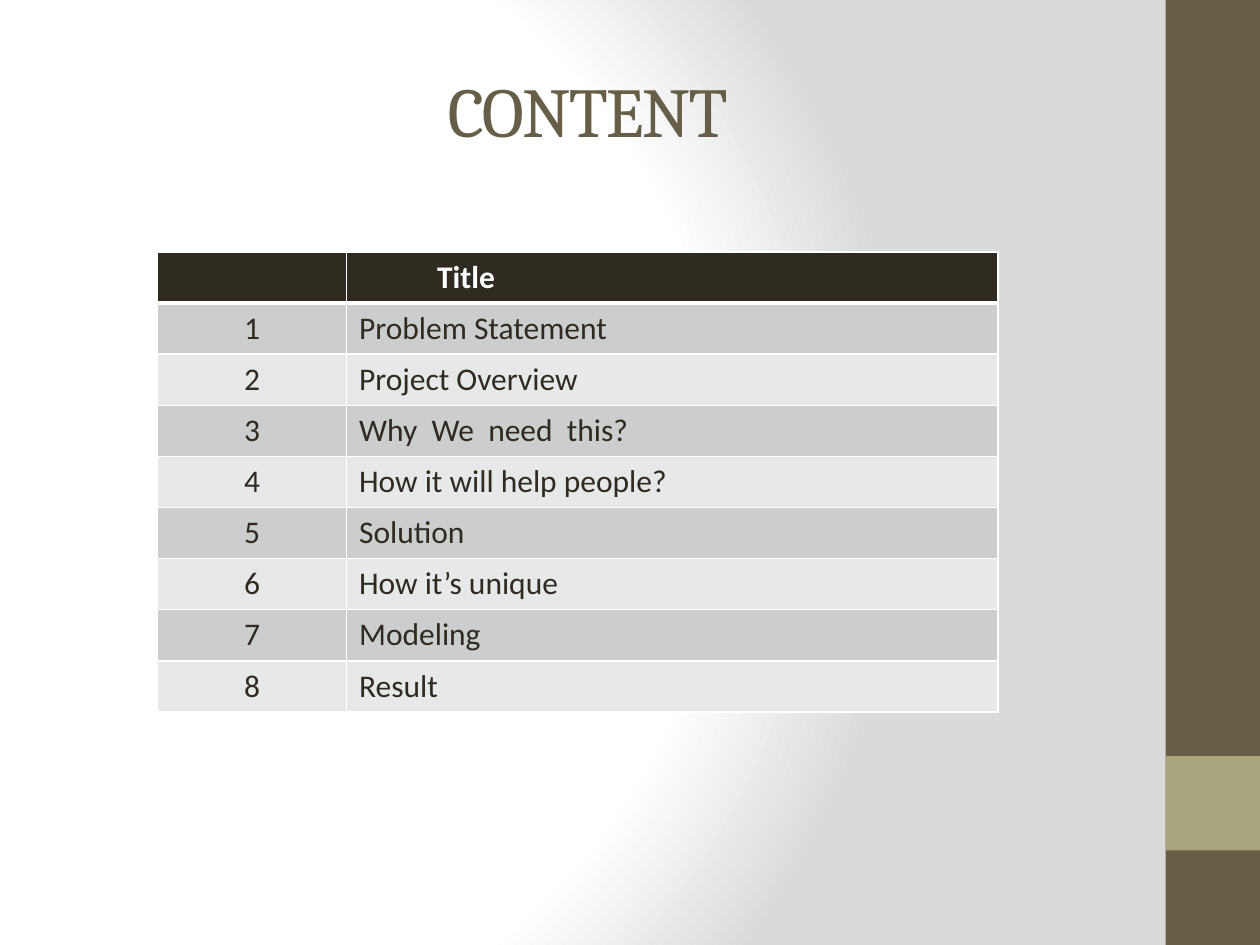
from typing import NamedTuple

from pptx import Presentation
from pptx.dml.color import RGBColor
from pptx.enum.shapes import MSO_SHAPE
from pptx.enum.text import MSO_ANCHOR, MSO_AUTO_SIZE, PP_ALIGN
from pptx.oxml import parse_xml
from pptx.oxml.ns import nsdecls
from pptx.util import Emu, Inches, Pt

RECT = MSO_SHAPE.RECTANGLE
BOTTOM = MSO_ANCHOR.BOTTOM
NO_FIT = MSO_AUTO_SIZE.NONE
CENTER, LEFT = PP_ALIGN.CENTER, PP_ALIGN.LEFT

BROWN, OLIVE, DARK, WHITE = "675E47", "A9A57C", "2F2B20", "FFFFFF"
BANDS = ("CDCDCD", "E8E8E8")
TITLE_ONLY = 5
TOPICS = (
    "Problem Statement",
    "Project Overview",
    "Why  We  need  this?",
    "How it will help people?",
    "Solution",
    "How it’s unique",
    "Modeling",
    "Result",
)


class Block(NamedTuple):
    """A side block, in shares of the slide's height from the top."""
    top: float
    height: float
    color: str


SIDE_BLOCKS = (Block(0, 1, BROWN), Block(0.8, 0.1, OLIVE))
SIDE_LEFT = 0.925  # share of the slide's width


def rgb(color: str) -> RGBColor:
    return RGBColor.from_string(color)


def add_run(p, text: str, font: str, size: float, color: str, bold: bool = False):
    r = p.add_run()
    r.text = text
    r.font.name, r.font.size, r.font.bold = font, Pt(size), bold
    r.font.color.rgb = rgb(color)
    return r


def set_background(slide) -> None:
    """Radial gradient centred left of the middle."""
    fill = slide.background.fill
    fill.solid()
    stops = "".join(
        f'<a:gs pos="{pos * 1000}"><a:srgbClr val="{color}"/></a:gs>'
        for pos, color in ((0, WHITE), (75, WHITE), (100, "DADADA"))
    )
    gradient = parse_xml(
        f'<a:gradFill {nsdecls("a")} rotWithShape="1"><a:gsLst>{stops}</a:gsLst>'
        '<a:path path="circle"><a:fillToRect l="20000" t="50000" r="100000" b="50000"/>'
        "</a:path></a:gradFill>"
    )
    bg_pr = slide.background._cSld.bg.bgPr
    bg_pr.replace(bg_pr[0], gradient)


def add_side_block(slide, block: Block, width: int, height: int) -> None:
    left = round(width * SIDE_LEFT)
    sp = slide.shapes.add_shape(
        RECT, Emu(left), Emu(round(height * block.top)),
        Emu(width - left), Emu(round(height * block.height)))
    sp.shadow.inherit = False
    sp.fill.solid()
    sp.fill.fore_color.rgb = rgb(block.color)
    sp.line.fill.background()


def set_title(slide, text: str) -> None:
    title = slide.shapes.title
    title.left, title.top = Inches(0.5), Inches(0.17)
    title.width, title.height = Inches(8.33), Inches(1.08)
    tf = title.text_frame
    tf.auto_size, tf.vertical_anchor = NO_FIT, BOTTOM
    p = tf.paragraphs[0]
    p.alignment = CENTER
    r = add_run(p, text, "Cambria", 40, BROWN)
    r.font._element.set("spc", "-100")


def style_cell(cell, fill: str, top: int, bottom: int) -> None:
    """Fill the cell and give it white borders, 1 pt wide at the sides."""
    cell.fill.solid()
    cell.fill.fore_color.rgb = rgb(fill)
    tc_pr = cell._tc.get_or_add_tcPr()
    for i, (side, points) in enumerate(zip("LRTB", (1, 1, top, bottom))):
        tc_pr.insert(i, parse_xml(
            f'<a:ln{side} {nsdecls("a")} w="{Pt(points)}"><a:solidFill>'
            f'<a:srgbClr val="{WHITE}"/></a:solidFill></a:ln{side}>'))


def add_contents(slide) -> None:
    rows = [("", "Title"), *((str(n), topic) for n, topic in enumerate(TOPICS, 1))]
    height = Inches(3.65)
    table = slide.shapes.add_table(
        len(rows), 2, Inches(1.25), Inches(2), Inches(6.67), height).table
    for column, width in zip(table.columns, (1.5, 5.17)):
        column.width = Inches(width)
    for i, texts in enumerate(rows):
        table.rows[i].height = Emu(height // len(rows))
        header = i == 0
        fill = DARK if header else BANDS[(i - 1) % 2]
        for j, text in enumerate(texts):
            cell = table.cell(i, j)
            style_cell(cell, fill, 3 if i == 1 else 1, 3 if header else 1)
            p = cell.text_frame.paragraphs[0]
            p.alignment = LEFT if j else CENTER
            if text:
                add_run(p, text, "Calibri", 18, WHITE if header else DARK, header)
    table.cell(0, 1).margin_left = Inches(0.72)


def main() -> None:
    prs = Presentation()
    prs.slide_width, prs.slide_height = Inches(10), Inches(7.5)
    slide = prs.slides.add_slide(prs.slide_layouts[TITLE_ONLY])
    set_background(slide)
    for block in SIDE_BLOCKS:
        add_side_block(slide, block, prs.slide_width, prs.slide_height)
    set_title(slide, "CONTENT")
    add_contents(slide)
    prs.save("out.pptx")


if __name__ == "__main__":
    main()
